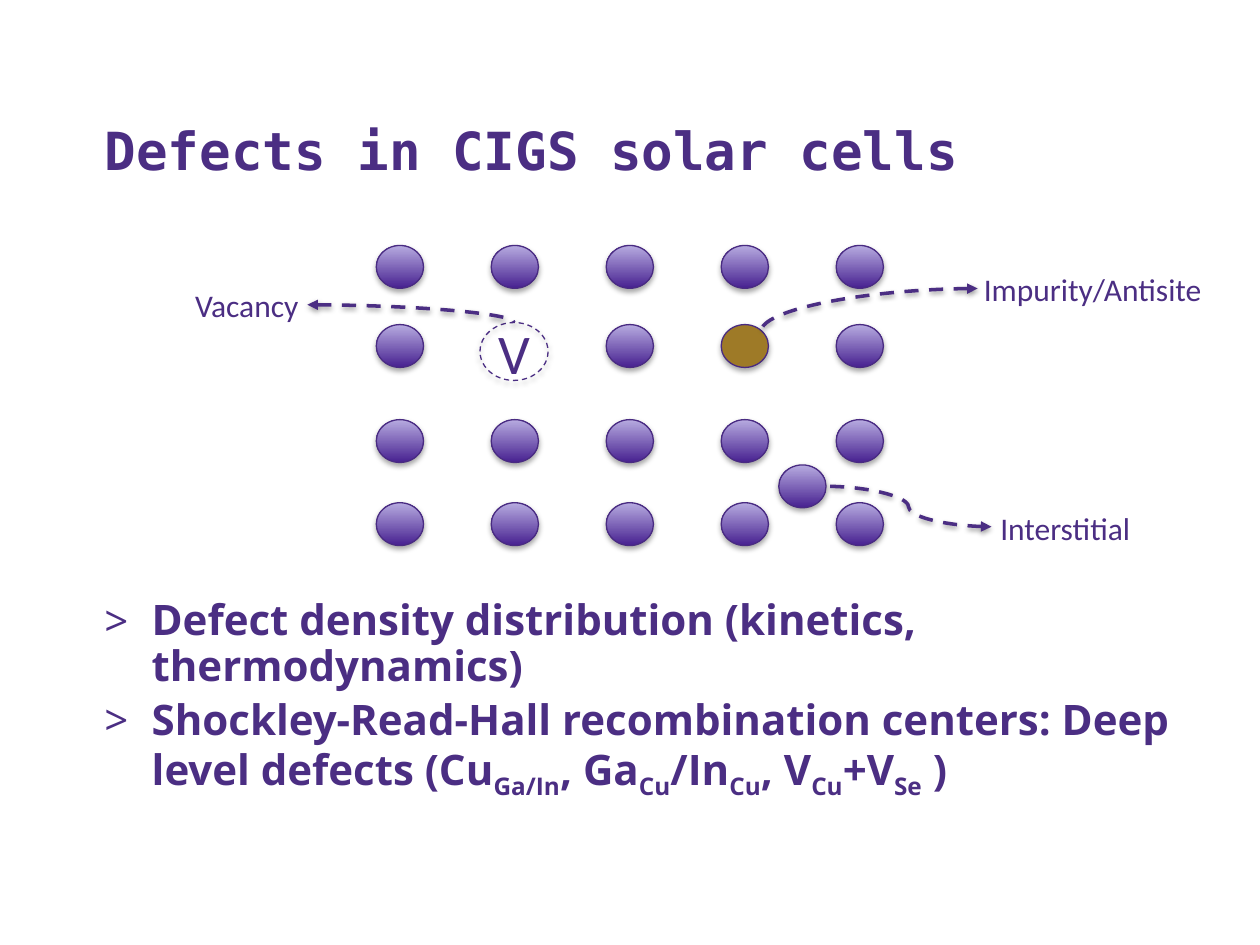
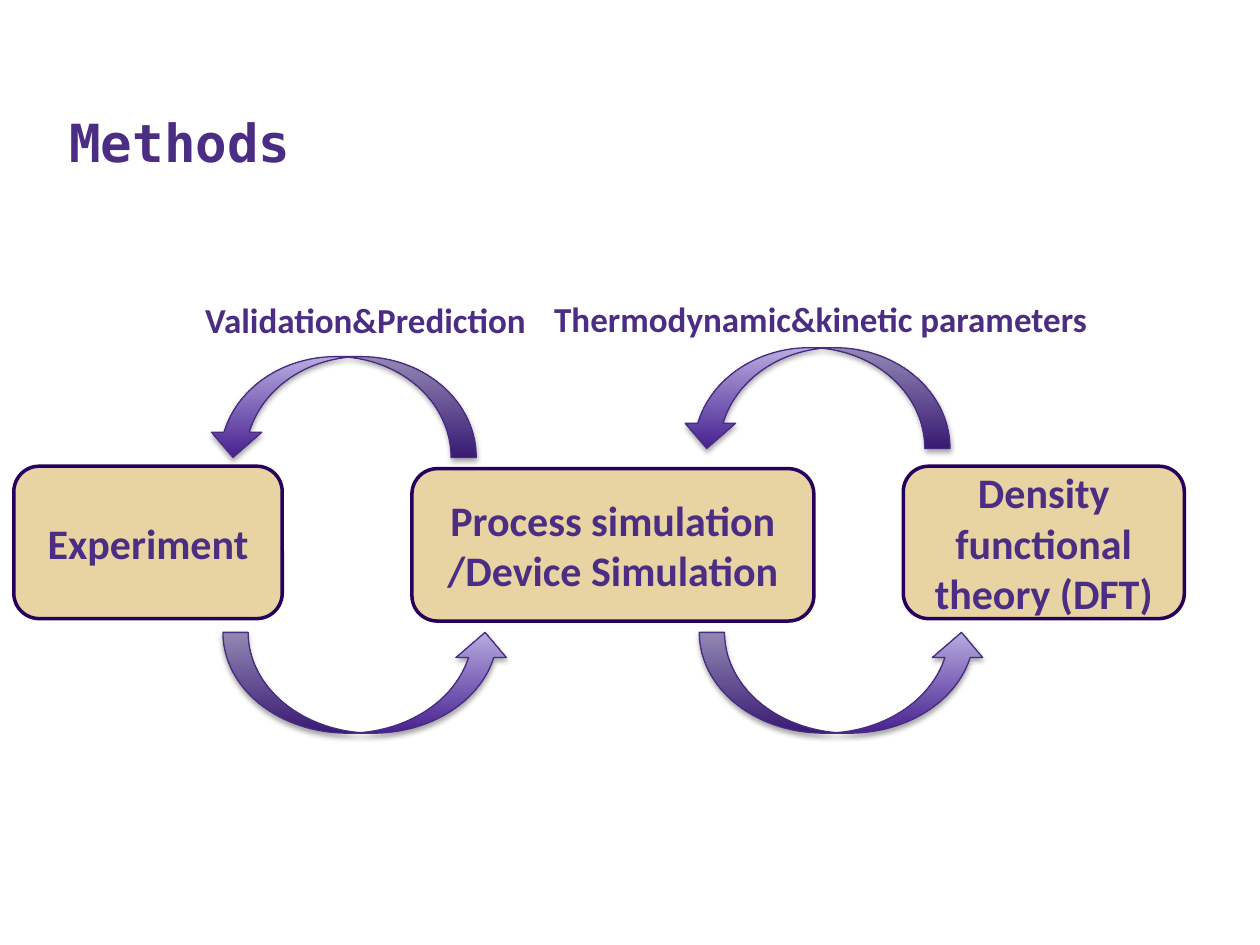
from dataclasses import dataclass
from typing import Any

import lxml.etree
import pptx
import pptx.dml.color
import pptx.enum.dml
import pptx.enum.shapes
import pptx.enum.text
import pptx.oxml.ns
import pptx.util

Pt = pptx.util.Pt
qn = pptx.oxml.ns.qn
SHAPE = pptx.enum.shapes.MSO_SHAPE
ALIGN = pptx.enum.text.PP_ALIGN
ANCHOR = pptx.enum.text.MSO_ANCHOR
AUTO_SIZE = pptx.enum.text.MSO_AUTO_SIZE
DASH = pptx.enum.dml.MSO_LINE.DASH

COLOURS = {
    "text": "4B2E83",
    "outline": "492B82",
    "dark": "472190",
    "light": "B7ABE0",
    "gold": "9E7A27",
    "sand": "E8D3A2",
    "frame": "26005C",
    "shadow": "000000",
}
TITLE_FORMAT = {"name": "DejaVu Sans Mono", "size": Pt(30), "bold": True}
BODY_FORMAT = {"name": "Open Sans", "size": Pt(24), "bold": True}
LABEL_FORMAT = {"name": "Calibri", "size": Pt(18), "bold": False}
VACANCY_FORMAT = {"name": "Calibri", "size": Pt(32), "bold": False}
STEP_FORMAT = {"name": "Calibri", "size": Pt(24), "bold": True}
FLOW_FORMAT = {"name": "Calibri", "size": Pt(20), "bold": True}

ATOM_SIZE = (27, 24.5)
ATOM_LEFT, ATOM_STEP = 215, 65.7
ROW_TOPS = (140.3, 185.5, 239.8, 287.3)
VACANCY_SITE, IMPURITY_SITE = (1, 1), (1, 3)


@dataclass(frozen=True)
class Frame:
    left: float
    top: float
    width: float
    height: float

    def lengths(self) -> list[int]:
        return [Pt(value) for value in (self.left, self.top, self.width, self.height)]


@dataclass(frozen=True)
class Label:
    text: str
    frame: Frame


@dataclass(frozen=True)
class Pointer:
    """A dashed curve with its arrowhead at the label and its other end at a defect."""
    label_end: tuple[float, float]
    defect_end: tuple[float, float]
    preset: str


@dataclass(frozen=True)
class FlowArrow:
    kind: Any
    frame: Frame
    mirrored: bool


DEFECT_LABELS = (
    Label("Vacancy", Frame(104.4, 159.8, 74.2, 28.8)),
    Label("Impurity/Antisite", Frame(555.1, 150.5, 140.4, 28.8)),
    Label("Interstitial", Frame(564.5, 287.3, 90, 28.8)),
)
POINTERS = (
    Pointer((175.7, 174.2), (293.8, 184.3), "curvedConnector2"),
    Pointer((558.7, 164.9), (434.9, 189.4), "curvedConnector2"),
    Pointer((566.6, 301), (471.6, 277.9), "curvedConnector3"),
)
DEFECT_POINTS = (
    [("Defect density distribution (kinetics, thermodynamics)", False)],
    [
        ("Shockley-Read-Hall recombination centers: Deep level defects (Cu", False),
        ("Ga/In", True), (", Ga", False), ("Cu", True), ("/In", False), ("Cu", True),
        (", V", False), ("Cu", True), ("+V", False), ("Se", True), (" )", False),
    ],
)
STEPS = (
    Label("Density functional theory (DFT)", Frame(516.2, 266.4, 160.6, 87.1)),
    Label("Process simulation\n/Device Simulation", Frame(235.4, 267.8, 229.7, 87.1)),
    Label("Experiment", Frame(7.9, 266.4, 153.4, 87.1)),
)
FLOW_LABELS = (
    Label("Thermodynamic&kinetic parameters", Frame(309.6, 166.3, 321.8, 31.7)),
    Label("Validation&Prediction", Frame(110.2, 167, 199.4, 31.7)),
)
FLOW_ARROWS = (
    FlowArrow(SHAPE.CURVED_UP_ARROW, Frame(399.6, 361.4, 164.2, 57.6), False),
    FlowArrow(SHAPE.CURVED_UP_ARROW, Frame(127.4, 361.4, 164.2, 57.6), False),
    FlowArrow(SHAPE.CURVED_DOWN_ARROW, Frame(118.8, 203.8, 153.4, 57.6), True),
    FlowArrow(SHAPE.CURVED_DOWN_ARROW, Frame(389.5, 198.7, 153.4, 57.6), True),
)


def colour(name: str) -> pptx.dml.color.RGBColor:
    return pptx.dml.color.RGBColor.from_string(COLOURS[name])


def style_font(font: Any, values: dict[str, Any]) -> None:
    for name, value in values.items():
        setattr(font, name, value)
    font.color.rgb = colour("text")


def add_xml(parent: Any, tag: str, **attributes: str) -> Any:
    return lxml.etree.SubElement(parent, qn(tag), attributes)


def set_line(line: Any, name: str, width: float, dash: Any = None) -> None:
    line.color.rgb = colour(name)
    line.width = Pt(width)
    if dash is not None:
        line.dash_style = dash


def cast_shadow(effects: Any, distance: float, opacity: int) -> None:
    shadow = add_xml(effects, "a:outerShdw", blurRad=str(Pt(3.1)), dist=str(Pt(distance)),
                     dir="5400000", rotWithShape="0")
    tone = add_xml(shadow, "a:srgbClr", val=COLOURS["shadow"])
    add_xml(tone, "a:alpha", val=str(opacity * 1000))


def add_solid(shapes: Any, kind: Any, frame: Frame, fill: str | None = None) -> Any:
    """Add a shadowed shape, shaded from light to dark unless a fill is named."""
    solid = shapes.add_shape(kind, *frame.lengths())
    if fill:
        solid.fill.solid()
        solid.fill.fore_color.rgb = colour(fill)
    else:
        solid.fill.gradient()
        solid.fill.gradient_angle = 90
        for stop, name in zip(solid.fill.gradient_stops, ("dark", "light")):
            stop.color.rgb = colour(name)
    set_line(solid.line, "outline", 0.75)
    solid.shadow.inherit = False
    cast_shadow(solid.element.spPr.find(qn("a:effectLst")), 1.8, 35)
    return solid


def write_lines(box: Any, text: str, values: dict[str, Any], align: Any) -> None:
    box.text_frame.text = text
    for para in box.text_frame.paragraphs:
        para.alignment = align
        for span in para.runs:
            style_font(span.font, values)


def add_label(shapes: Any, label: Label, values: dict[str, Any], align: Any = ALIGN.LEFT) -> None:
    box = shapes.add_textbox(*label.frame.lengths())
    box.text_frame.word_wrap = False
    box.text_frame.auto_size = AUTO_SIZE.SHAPE_TO_FIT_TEXT
    write_lines(box, label.text, values, align)


def add_page(deck: Any, title: str, left: float, top: float) -> Any:
    page = deck.slides.add_slide(deck.slide_layouts[5])
    box = page.shapes.title
    box.left, box.top, box.width, box.height = Frame(left, top, 644.4, 77.8).lengths()
    box.text_frame.vertical_anchor = ANCHOR.BOTTOM
    box.text_frame.auto_size = AUTO_SIZE.NONE
    write_lines(box, title, TITLE_FORMAT, ALIGN.LEFT)
    return page


def add_points(page: Any) -> None:
    box = page.shapes.add_textbox(*Frame(52.6, 339.1, 645.1, 39.6).lengths())
    frame = box.text_frame
    frame.word_wrap = True
    for index, pieces in enumerate(DEFECT_POINTS):
        para = frame.add_paragraph() if index else frame.paragraphs[0]
        properties = para._p.get_or_add_pPr()
        properties.set("marL", str(Pt(27)))
        properties.set("indent", str(Pt(-27)))
        add_xml(properties, "a:buFont", typeface="Open Sans")
        add_xml(properties, "a:buChar", char=">")
        para.line_spacing = 0.9
        para.space_before = Pt(4.8 if index else 0)
        for text, lowered in pieces:
            span = para.add_run()
            span.text = text
            style_font(span.font, BODY_FORMAT)
            if lowered:
                span._r.get_or_add_rPr().set("baseline", "-25000")


def add_lattice(page: Any) -> None:
    shapes = page.shapes.add_group_shape().shapes
    for row, top in enumerate(ROW_TOPS):
        for column in range(5):
            if (row, column) == VACANCY_SITE:
                continue
            frame = Frame(ATOM_LEFT + column * ATOM_STEP, top, *ATOM_SIZE)
            fill = "gold" if (row, column) == IMPURITY_SITE else None
            add_solid(shapes, SHAPE.OVAL, frame, fill)
    add_solid(shapes, SHAPE.OVAL, Frame(445, 265.7, *ATOM_SIZE))
    add_label(shapes, Label("V", Frame(275.8, 178.6, 36, 46.1)), VACANCY_FORMAT, ALIGN.CENTER)
    vacancy = add_solid(shapes, SHAPE.OVAL, Frame(274.3, 184.3, 38.9, 33.1))
    vacancy.fill.background()
    set_line(vacancy.line, "text", 0.75, DASH)


def add_pointer(page: Any, pointer: Pointer) -> None:
    ends = [Pt(value) for value in pointer.label_end + pointer.defect_end]
    curve = page.shapes.add_connector(pptx.enum.shapes.MSO_CONNECTOR.CURVE, *ends)
    properties = curve.element.spPr
    properties.find(qn("a:prstGeom")).set("prst", pointer.preset)
    set_line(curve.line, "text", 2, DASH)
    add_xml(properties.find(qn("a:ln")), "a:headEnd", type="triangle")
    cast_shadow(add_xml(properties, "a:effectLst"), 1.6, 38)


def add_step(page: Any, step: Label) -> None:
    box = page.shapes.add_shape(SHAPE.ROUNDED_RECTANGLE, *step.frame.lengths())
    box.shadow.inherit = False
    box.fill.solid()
    box.fill.fore_color.rgb = colour("sand")
    set_line(box.line, "frame", 2)
    box.text_frame.word_wrap = True
    box.text_frame.vertical_anchor = ANCHOR.MIDDLE
    write_lines(box, step.text, STEP_FORMAT, ALIGN.CENTER)


def add_flow_arrow(page: Any, arrow: FlowArrow) -> None:
    solid = add_solid(page.shapes, arrow.kind, arrow.frame)
    if arrow.mirrored:
        solid.element.spPr.find(qn("a:xfrm")).set("flipH", "1")


def build_defects(deck: Any) -> None:
    page = add_page(deck, "Defects in CIGS solar cells", 52.6, 29.5)
    add_points(page)
    add_lattice(page)
    for pointer in POINTERS:
        add_pointer(page, pointer)
    for label in DEFECT_LABELS:
        add_label(page.shapes, label, LABEL_FORMAT)


def build_methods(deck: Any) -> None:
    page = add_page(deck, "Methods", 32.4, 24.5)
    for step in STEPS:
        add_step(page, step)
    for label in FLOW_LABELS:
        add_label(page.shapes, label, FLOW_FORMAT)
    for arrow in FLOW_ARROWS:
        add_flow_arrow(page, arrow)


def main() -> None:
    deck = pptx.Presentation()
    deck.slide_width, deck.slide_height = Pt(720), Pt(540)
    build_defects(deck)
    build_methods(deck)
    deck.save("out.pptx")


if __name__ == "__main__":
    main()
